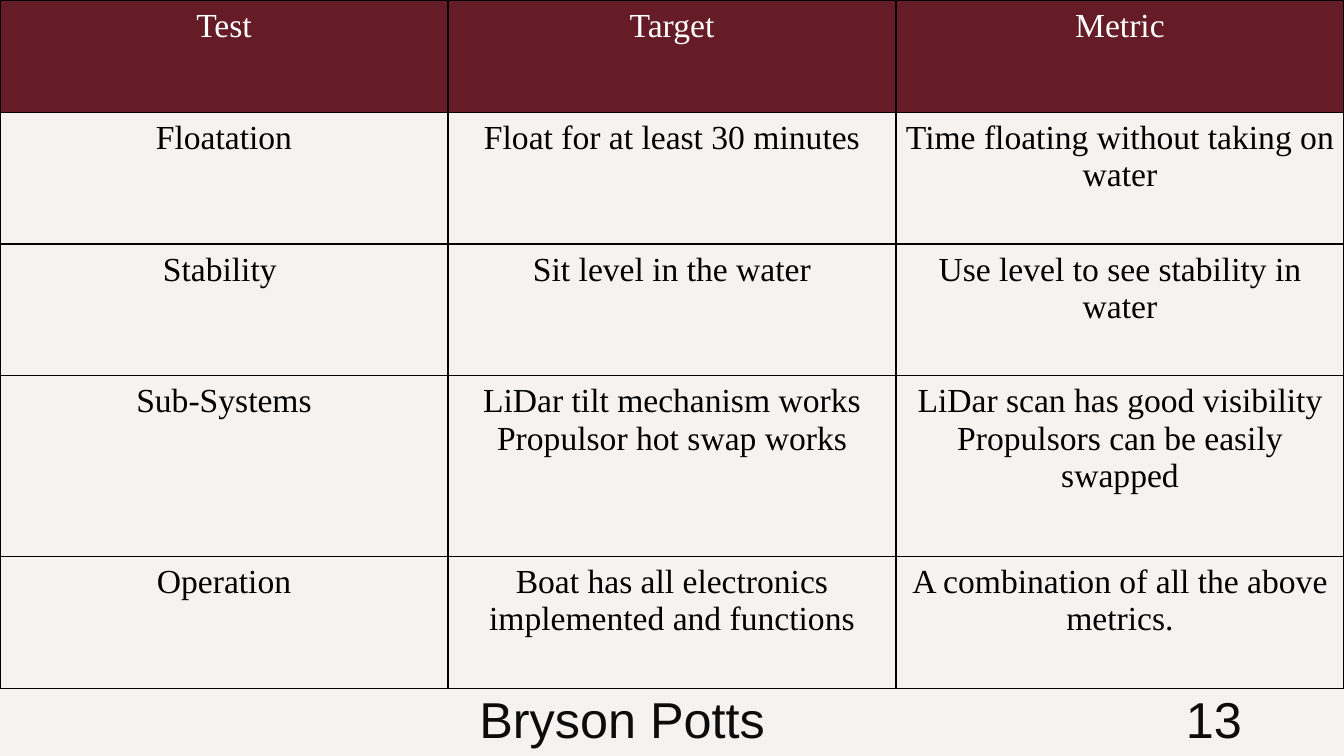
from lxml import etree
from pptx import Presentation
from pptx.dml.color import RGBColor
from pptx.enum.text import MSO_ANCHOR, PP_ALIGN
from pptx.oxml.ns import qn
from pptx.util import Cm, Pt

CENTER, RIGHT = PP_ALIGN.CENTER, PP_ALIGN.RIGHT
MIDDLE = MSO_ANCHOR.MIDDLE

CREAM = RGBColor(0xF6, 0xF2, 0xF0)
MAROON = RGBColor(0x65, 0x1C, 0x27)
WHITE = RGBColor(0xFF, 0xFF, 0xFF)
BLACK = RGBColor(0x00, 0x00, 0x00)
INK = RGBColor(0x0C, 0x0C, 0x0C)

PAGE_WIDTH, PAGE_HEIGHT = Cm(33.87), Cm(19.05)
ROW_HEIGHTS = [Cm(2.83), Cm(3.32), Cm(3.32), Cm(4.56), Cm(3.32)]
CELL_MARGIN = Cm(0.18)

TESTS = [
    (["Test"], ["Target"], ["Metric"]),
    (["Floatation"], ["Float for at least 30 minutes"],
     ["Time floating without taking on water"]),
    (["Stability "], ["Sit level in the water"],
     ["Use level to see stability in water"]),
    (["Sub-Systems"],
     ["LiDar tilt mechanism works", "Propulsor hot swap works"],
     ["LiDar scan has good visibility", "Propulsors can be easily swapped"]),
    (["Operation"], ["Boat has all electronics implemented and functions"],
     ["A combination of all the above metrics."]),
]


def write_lines(frame, lines, align, font_name, size, color):
    """Write each line as a paragraph with one formatted run."""
    for index, line in enumerate(lines):
        para = frame.add_paragraph() if index else frame.paragraphs[0]
        para.alignment = align
        span = para.add_run()
        span.text = line
        span.font.name = font_name
        span.font.size = Pt(size)
        span.font.color.rgb = color


def add_borders(cell, color, width):
    """Draw a solid border on all four sides of a cell."""
    properties = cell._tc.get_or_add_tcPr()
    for index, side in enumerate(("a:lnL", "a:lnR", "a:lnT", "a:lnB")):
        line = etree.Element(qn(side), w=str(width))
        fill = etree.SubElement(line, qn("a:solidFill"))
        etree.SubElement(fill, qn("a:srgbClr"), val=str(color))
        properties.insert(index, line)


def format_cell(cell, lines, is_header):
    """Fill one cell with centred text and its style."""
    cell.margin_left = cell.margin_right = CELL_MARGIN
    cell.margin_top = cell.margin_bottom = CELL_MARGIN
    if is_header:
        cell.fill.solid()
        cell.fill.fore_color.rgb = MAROON
    else:
        cell.fill.background()
    add_borders(cell, BLACK, Pt(1))
    write_lines(cell.text_frame, lines, CENTER, "Times New Roman", 24,
                WHITE if is_header else BLACK)


def add_test_table(page, left, top, width):
    """Add the test plan table with equal columns."""
    columns = len(TESTS[0])
    table = page.shapes.add_table(len(TESTS), columns, left, top, width,
                                  sum(ROW_HEIGHTS)).table
    for column in table.columns:
        column.width = width // columns
    for row, height in zip(table.rows, ROW_HEIGHTS):
        row.height = height
    for row_index, entries in enumerate(TESTS):
        for column_index, lines in enumerate(entries):
            format_cell(table.cell(row_index, column_index), lines,
                        row_index == 0)


def add_footer_text(page, text, left, top, width, height):
    """Add one right-aligned footer text."""
    box = page.shapes.add_textbox(left, top, width, height)
    frame = box.text_frame
    frame.word_wrap = True
    frame.vertical_anchor = MIDDLE
    write_lines(frame, [text], RIGHT, "Arial", 36, INK)


def add_footer(page, left, top, width, height):
    """Place the presenter name and the page number in the footer box."""
    number_width = Cm(7.62)
    add_footer_text(page, "Bryson Potts", left, top, Cm(16.61), height)
    add_footer_text(page, "13", left + width - number_width, top,
                    number_width, height)


def main():
    """Build the deck and save it."""
    deck = Presentation()
    deck.slide_width, deck.slide_height = PAGE_WIDTH, PAGE_HEIGHT
    page = deck.slides.add_slide(deck.slide_layouts[6])
    page.background.fill.solid()
    page.background.fill.fore_color.rgb = CREAM
    add_test_table(page, 0, 0, PAGE_WIDTH)
    add_footer(page, Cm(2.92), Cm(17.58), Cm(28.63), Cm(1.02))
    deck.save("out.pptx")


if __name__ == "__main__":
    main()
